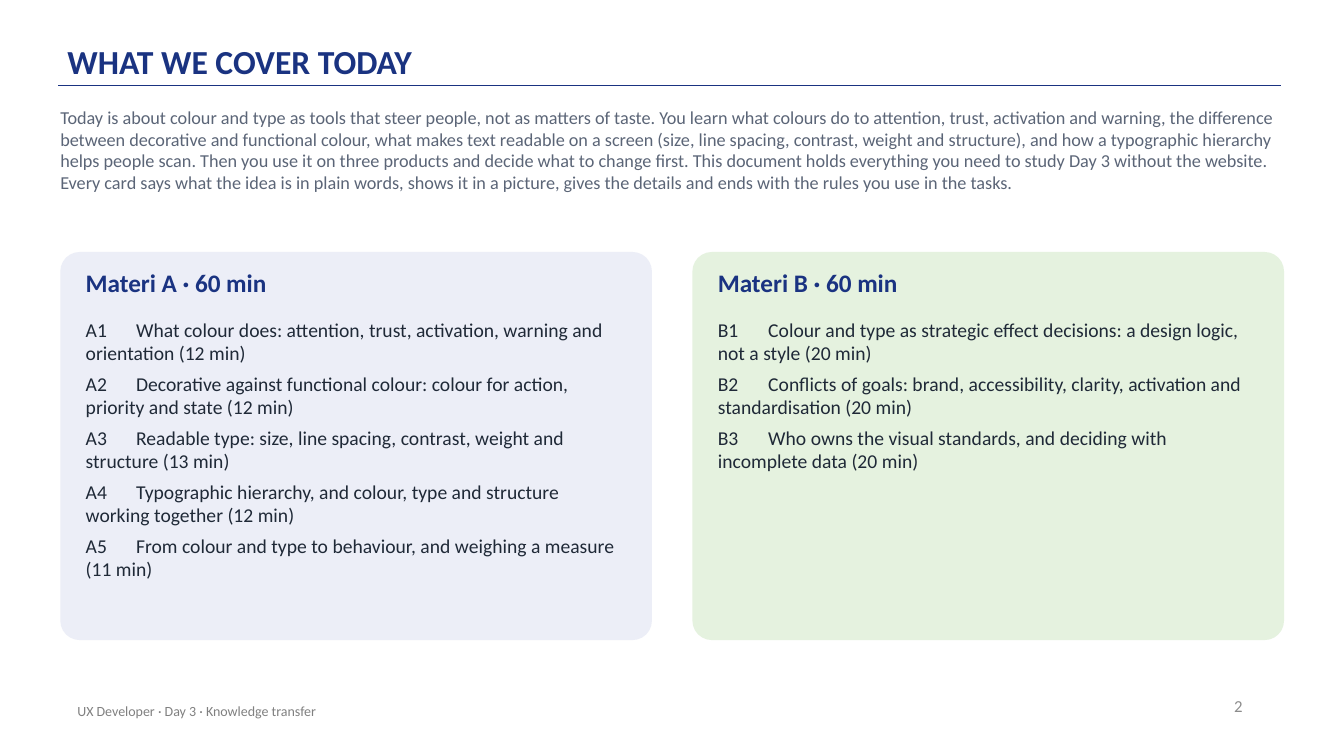
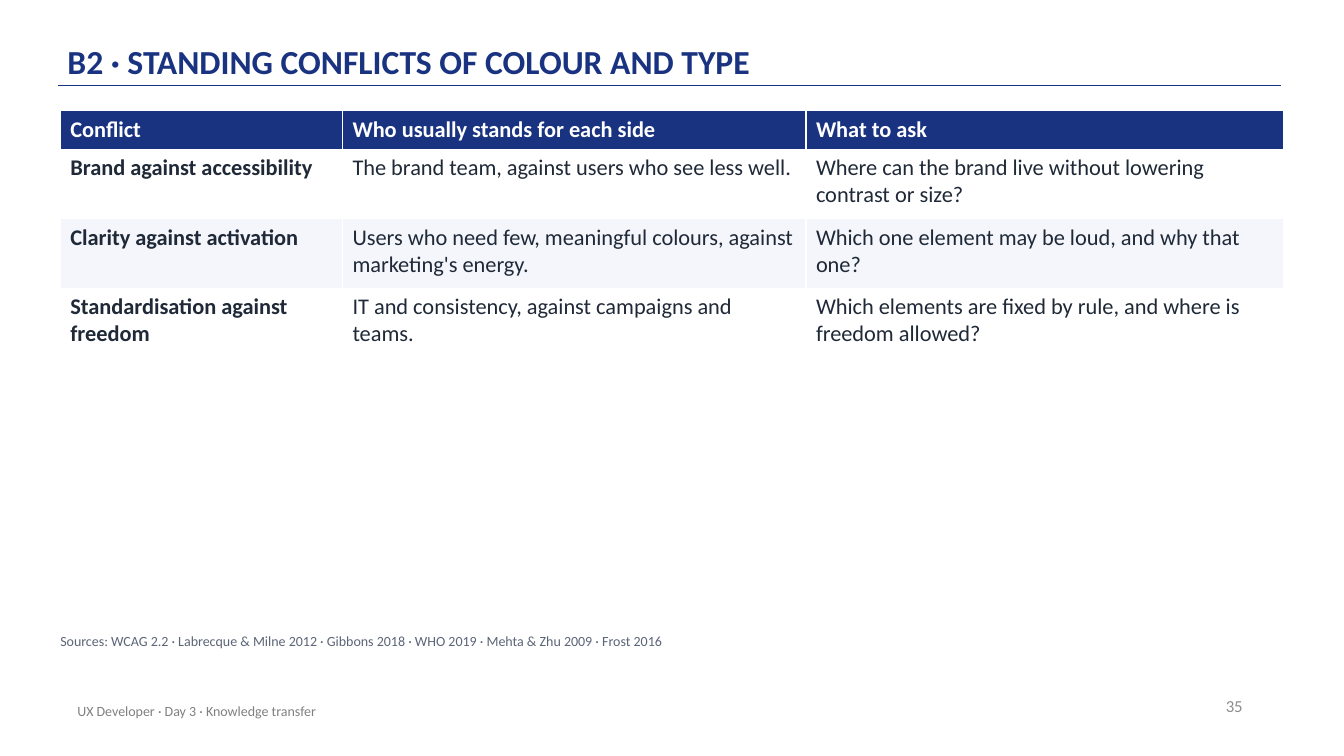
from lxml.etree import SubElement
from pptx import Presentation
from pptx.dml.color import RGBColor
from pptx.enum.shapes import MSO_CONNECTOR, MSO_SHAPE
from pptx.enum.text import MSO_ANCHOR, MSO_AUTO_SIZE, PP_ALIGN
from pptx.oxml.ns import qn
from pptx.util import Cm, Pt

FONT = "Calibri"
NAVY, INK, SLATE = "1A3381", "1F2937", "5B6577"
WHITE, STRIPE = "FFFFFF", "F4F6FB"
FOOTER_GREY, NUMBER_GREY = "808080", "8C8C8C"
LEFT, WIDTH = 1.52, 30.73
FOOTER = "UX Developer · Day 3 · Knowledge transfer"

INTRO = (
    "Today is about colour and type as tools that steer people, not as matters of taste. "
    "You learn what colours do to attention, trust, activation and warning, the difference "
    "between decorative and functional colour, what makes text readable on a screen (size, "
    "line spacing, contrast, weight and structure), and how a typographic hierarchy helps "
    "people scan. Then you use it on three products and decide what to change first. This "
    "document holds everything you need to study Day 3 without the website. Every card says "
    "what the idea is in plain words, shows it in a picture, gives the details and ends with "
    "the rules you use in the tasks."
)
CARDS = [
    ("Materi A · 60 min", "ECEEF7", [
        ("A1", "What colour does: attention, trust, activation, warning and orientation (12 min)"),
        ("A2", "Decorative against functional colour: colour for action, priority and state (12 min)"),
        ("A3", "Readable type: size, line spacing, contrast, weight and structure (13 min)"),
        ("A4", "Typographic hierarchy, and colour, type and structure working together (12 min)"),
        ("A5", "From colour and type to behaviour, and weighing a measure (11 min)"),
    ]),
    ("Materi B · 60 min", "E5F2DF", [
        ("B1", "Colour and type as strategic effect decisions: a design logic, not a style (20 min)"),
        ("B2", "Conflicts of goals: brand, accessibility, clarity, activation and standardisation (20 min)"),
        ("B3", "Who owns the visual standards, and deciding with incomplete data (20 min)"),
    ]),
]
CONFLICTS = [
    ("Conflict", "Who usually stands for each side", "What to ask"),
    ("Brand against accessibility", "The brand team, against users who see less well.",
     "Where can the brand live without lowering contrast or size?"),
    ("Clarity against activation",
     "Users who need few, meaningful colours, against marketing's energy.",
     "Which one element may be loud, and why that one?"),
    ("Standardisation against freedom", "IT and consistency, against campaigns and teams.",
     "Which elements are fixed by rule, and where is freedom allowed?"),
]
COLUMN_WIDTHS = (7.11, 11.68, 12.04)
HEADER_HEIGHT, ROW_HEIGHT = 0.97, 1.75
SOURCES = ("Sources: WCAG 2.2 · Labrecque & Milne 2012 · Gibbons 2018 · WHO 2019 · "
           "Mehta & Zhu 2009 · Frost 2016")


def colour(value):
    return RGBColor.from_string(value)


def place(shape, left, top, width, height):
    shape.left, shape.top = Cm(left), Cm(top)
    shape.width, shape.height = Cm(width), Cm(height)


def write(paragraph, text, size, tint, bold=False, align=PP_ALIGN.LEFT, after=0):
    paragraph.alignment = align
    paragraph.space_before, paragraph.space_after = Pt(0), Pt(after)
    span = paragraph.add_run()
    span.text = text
    span.font.name, span.font.size, span.font.bold = FONT, Pt(size), bold
    span.font.color.rgb = colour(tint)


def set_frame(frame, anchor=MSO_ANCHOR.TOP, sides=0, ends=0):
    frame.word_wrap = True
    frame.auto_size = MSO_AUTO_SIZE.NONE
    frame.vertical_anchor = anchor
    frame.margin_left = frame.margin_right = Cm(sides)
    frame.margin_top = frame.margin_bottom = Cm(ends)


def add_text(page, position, text, size, tint, **style):
    box = page.shapes.add_textbox(*map(Cm, position))
    set_frame(box.text_frame)
    write(box.text_frame.paragraphs[0], text, size, tint, **style)
    return box


def add_page(deck, layout, title, number):
    page = deck.slides.add_slide(deck.slide_layouts.get_by_name(layout))
    heading = page.shapes.title
    place(heading, 1.7, 0.3, 27.94, 1.83)
    set_frame(heading.text_frame, MSO_ANCHOR.BOTTOM, ends=0.08)
    paragraph = heading.text_frame.paragraphs[0]
    paragraph.line_spacing = 0.9
    write(paragraph, title, 24, NAVY, bold=True)

    rule = page.shapes.add_connector(MSO_CONNECTOR.STRAIGHT, Cm(1.47), Cm(2.16), Cm(32.28), Cm(2.16))
    rule.line.color.rgb, rule.line.width = colour(NAVY), Pt(1)
    SubElement(rule._element.spPr, qn("a:effectLst"))

    for position, text, size, tint, align in (
        ((23.95, 17.27, 7.62, 1.02), str(number), 12, NUMBER_GREY, PP_ALIGN.RIGHT),
        ((1.7, 17.4, 17.02, 1.02), FOOTER, 10, FOOTER_GREY, PP_ALIGN.LEFT),
    ):
        box = add_text(page, position, text, size, tint, align=align)
        set_frame(box.text_frame, MSO_ANCHOR.MIDDLE, 0.25, 0.13)
    return page


def fill_list(body, items):
    frame = body.text_frame
    set_frame(frame)
    for index, (code, topic) in enumerate(items):
        paragraph = frame.add_paragraph() if index else frame.paragraphs[0]
        properties = paragraph._p.get_or_add_pPr()
        properties.set("marL", "0")
        properties.set("indent", "0")
        SubElement(properties, qn("a:buNone"))
        tabs = SubElement(properties, qn("a:tabLst"))
        SubElement(tabs, qn("a:tab"), pos=str(Cm(0.77)), algn="l")
        write(paragraph, f"{code}\t{topic}", 14, INK, after=5)


def add_cards(page):
    top, width, height, gap, padding = 6.35, 14.91, 9.78, 1.02, 0.64
    bodies = [item for item in page.placeholders if item.placeholder_format.idx > 0]
    for index, (body, (name, tint, items)) in enumerate(zip(bodies, CARDS)):
        left = LEFT + index * (width + gap)
        card = page.shapes.add_shape(MSO_SHAPE.ROUNDED_RECTANGLE, Cm(left), Cm(top), Cm(width), Cm(height))
        card.adjustments[0] = 0.05
        card.shadow.inherit = False
        card.fill.solid()
        card.fill.fore_color.rgb = colour(tint)
        card.line.fill.background()
        page.shapes._spTree.insert(2, card._element)
        inner = left + padding, width - 2 * padding
        add_text(page, (inner[0], 6.73, inner[1], 1.02), name, 18, NAVY, bold=True)
        place(body, inner[0], 8, inner[1], 7.87)
        fill_list(body, items)


def add_conflicts(page):
    heights = [HEADER_HEIGHT] + [ROW_HEIGHT] * (len(CONFLICTS) - 1)
    table = page.shapes.add_table(
        len(CONFLICTS), len(COLUMN_WIDTHS), Cm(LEFT), Cm(2.79),
        Cm(sum(COLUMN_WIDTHS)), Cm(sum(heights))).table
    table.horz_banding = False
    for column, width in zip(table.columns, COLUMN_WIDTHS):
        column.width = Cm(width)
    for row, (height, texts) in enumerate(zip(heights, CONFLICTS)):
        table.rows[row].height = Cm(height)
        header = row == 0
        tint = NAVY if header else (WHITE if row % 2 else STRIPE)
        for column, text in enumerate(texts):
            cell = table.cell(row, column)
            cell.fill.solid()
            cell.fill.fore_color.rgb = colour(tint)
            write(cell.text_frame.paragraphs[0], text, 16, WHITE if header else INK,
                  bold=header or column == 0)


def main():
    deck = Presentation()
    deck.slide_width, deck.slide_height = Cm(33.87), Cm(19.05)

    overview = add_page(deck, "Two Content", "WHAT WE COVER TODAY", 2)
    add_text(overview, (LEFT, 2.67, WIDTH, 3.05), INTRO, 13, SLATE)
    add_cards(overview)

    conflicts = add_page(deck, "Title Only", "B2 · STANDING CONFLICTS OF COLOUR AND TYPE", 35)
    add_conflicts(conflicts)
    add_text(conflicts, (LEFT, 15.93, WIDTH, 0.76), SOURCES, 10, SLATE)

    deck.save("out.pptx")


if __name__ == "__main__":
    main()
